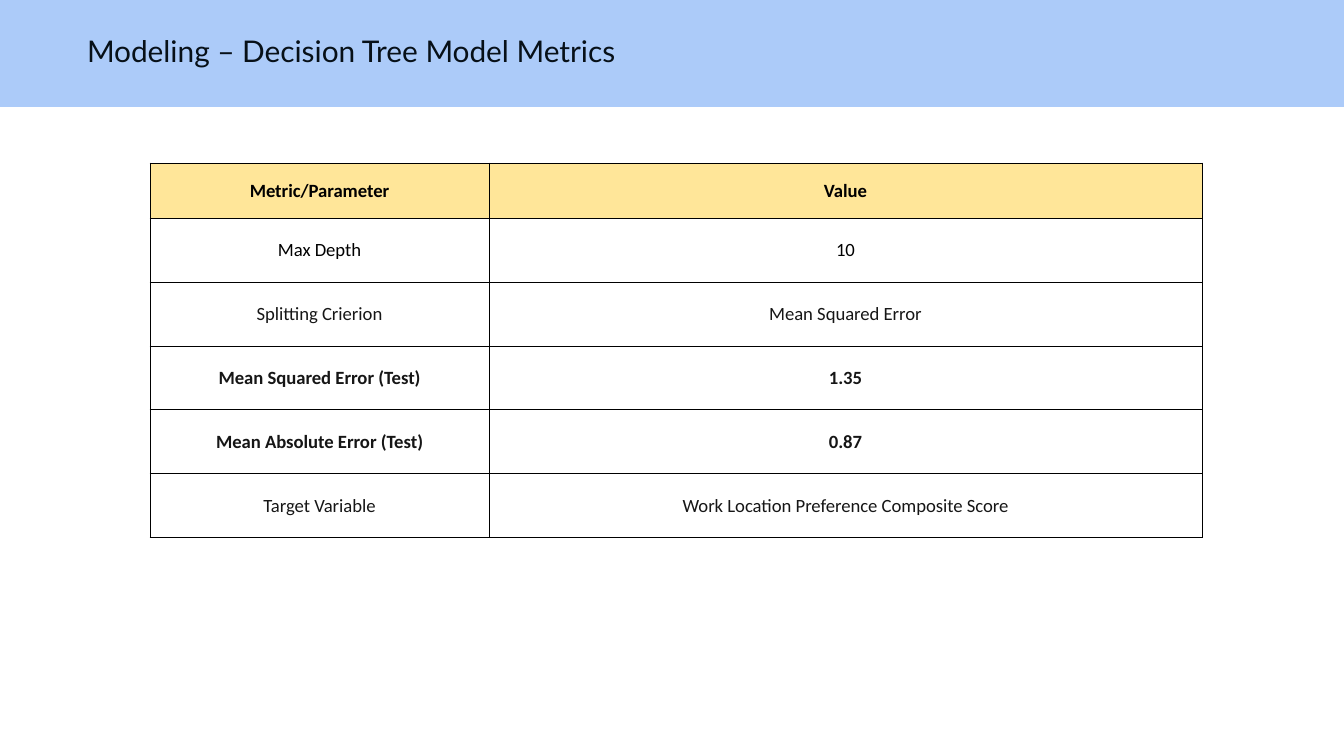
from dataclasses import dataclass

from lxml.etree import SubElement
from pptx import Presentation
from pptx.dml.color import RGBColor
from pptx.enum.shapes import MSO_SHAPE
from pptx.enum.text import MSO_ANCHOR as Anchor, MSO_AUTO_SIZE as AutoSize, PP_ALIGN as Align
from pptx.oxml.ns import qn
from pptx.util import Emu, Pt

SLIDE_W, SLIDE_H = 1344, 756
EMU_PER_PX = 9144000 / SLIDE_W

COLORS = {
    "band": "ACCBF9",
    "title": "071018",
    "header": "FFE699",
    "black": "000000",
    "ink": "161616",
}
BORDER_PT = 0.5


@dataclass(frozen=True)
class MetricRow:
    metric: str
    value: str
    color: str = "ink"
    bold: bool = False
    fill: str | None = None
    height: int = 64


METRICS = [
    MetricRow("Metric/Parameter", "Value", "black", bold=True, fill="header", height=55),
    MetricRow("Max Depth", "10", "black"),
    MetricRow("Splitting Crierion", "Mean Squared Error"),
    MetricRow("Mean Squared Error (Test)", "1.35", bold=True),
    MetricRow("Mean Absolute Error (Test)", "0.87", bold=True),
    MetricRow("Target Variable", "Work Location Preference Composite Score"),
]
COLUMN_WIDTHS = [339, 713]


def px(length: int) -> Emu:
    return Emu(round(length * EMU_PER_PX))


def rgb(name: str) -> RGBColor:
    return RGBColor.from_string(COLORS[name])


def set_margins(holder, left: int, top: int, right: int, bottom: int) -> None:
    holder.margin_left, holder.margin_top = px(left), px(top)
    holder.margin_right, holder.margin_bottom = px(right), px(bottom)


def add_run(paragraph, text: str, font: str, size: int, color: str, bold: bool = False) -> None:
    run = paragraph.add_run()
    run.text = text
    run.font.name = font
    run.font.size = Pt(size)
    run.font.bold = bold
    run.font.color.rgb = rgb(color)


def add_band(slide) -> None:
    band = slide.shapes.add_shape(MSO_SHAPE.RECTANGLE, 0, 0, px(SLIDE_W), px(107))
    band.shadow.inherit = False
    band.fill.solid()
    band.fill.fore_color.rgb = rgb("band")
    band.line.fill.background()
    # Send the band behind the title placeholder
    slide.shapes.element.insert(2, band.element)


def write_title(slide, text: str) -> None:
    title = slide.shapes.title
    title.left, title.top, title.width, title.height = px(74), px(19), px(1105), px(63)
    frame = title.text_frame
    frame.word_wrap = True
    frame.auto_size = AutoSize.NONE
    frame.vertical_anchor = Anchor.MIDDLE
    set_margins(frame, 13, 13, 13, 13)
    frame.paragraphs[0].alignment = Align.LEFT
    add_run(frame.paragraphs[0], text, "Lato", 16, "title")


def add_borders(cell) -> None:
    properties = cell._tc.get_or_add_tcPr()
    for position, side in enumerate(("a:lnL", "a:lnR", "a:lnT", "a:lnB")):
        line = SubElement(properties, qn(side), w=str(Pt(BORDER_PT)))
        fill = SubElement(line, qn("a:solidFill"))
        SubElement(fill, qn("a:srgbClr"), val=COLORS["black"])
        # Borders must precede the cell fill
        properties.insert(position, line)


def write_cell(cell, text: str, row: MetricRow) -> None:
    cell.vertical_anchor = Anchor.MIDDLE
    set_margins(cell, 1, 1, 1, 0)
    if row.fill:
        cell.fill.solid()
        cell.fill.fore_color.rgb = rgb(row.fill)
    else:
        cell.fill.background()
    add_borders(cell)
    paragraph = cell.text_frame.paragraphs[0]
    paragraph.alignment = Align.CENTER
    add_run(paragraph, text, "Calibri", 10, row.color, row.bold)


def add_metrics_table(slide, left: int, top: int) -> None:
    width, height = sum(COLUMN_WIDTHS), sum(row.height for row in METRICS)
    table = slide.shapes.add_table(
        len(METRICS), len(COLUMN_WIDTHS), px(left), px(top), px(width), px(height)
    ).table
    table.first_row = table.horz_banding = False
    for column, column_width in zip(table.columns, COLUMN_WIDTHS):
        column.width = px(column_width)
    for table_row, row in zip(table.rows, METRICS):
        table_row.height = px(row.height)
        for cell, text in zip(table_row.cells, (row.metric, row.value)):
            write_cell(cell, text, row)


def main() -> None:
    deck = Presentation()
    deck.slide_width, deck.slide_height = px(SLIDE_W), px(SLIDE_H)
    title_only = deck.slide_layouts[5]
    slide = deck.slides.add_slide(title_only)
    add_band(slide)
    write_title(slide, "Modeling – Decision Tree Model Metrics")
    add_metrics_table(slide, 150, 163)
    deck.save("out.pptx")


if __name__ == "__main__":
    main()
